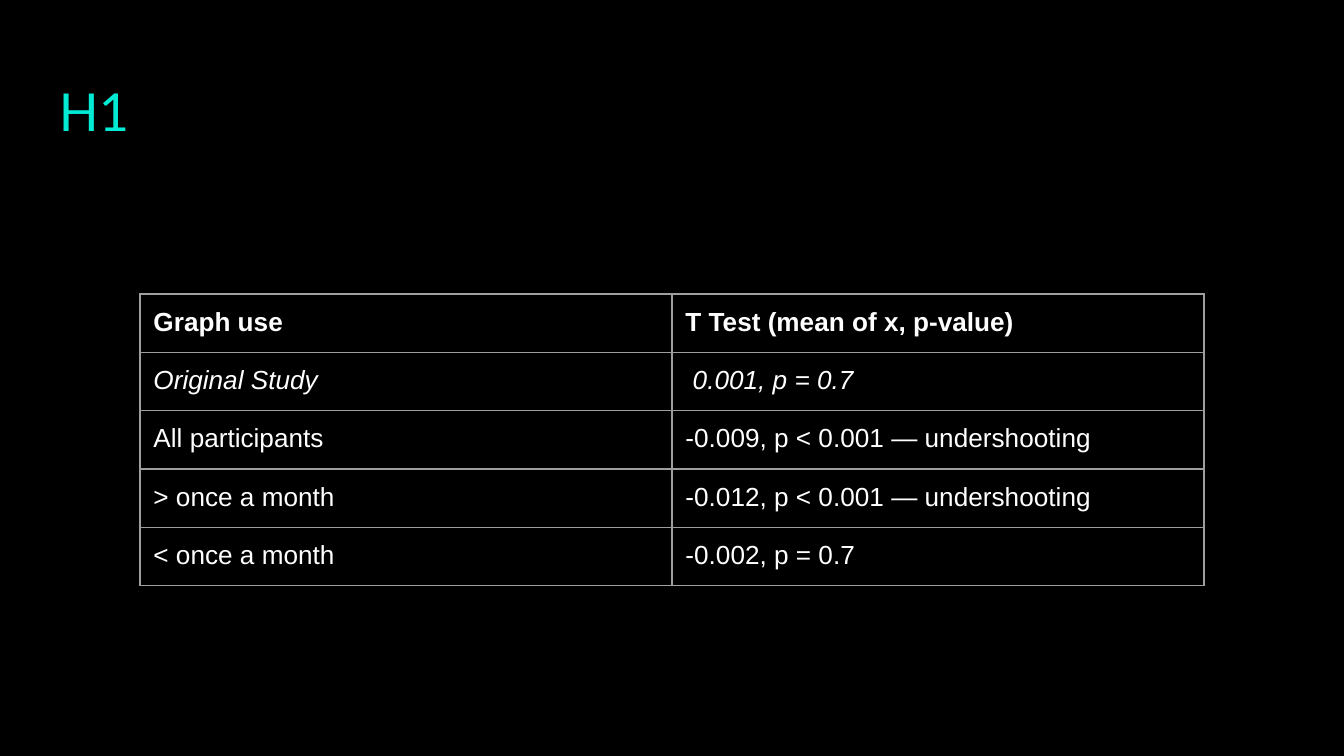
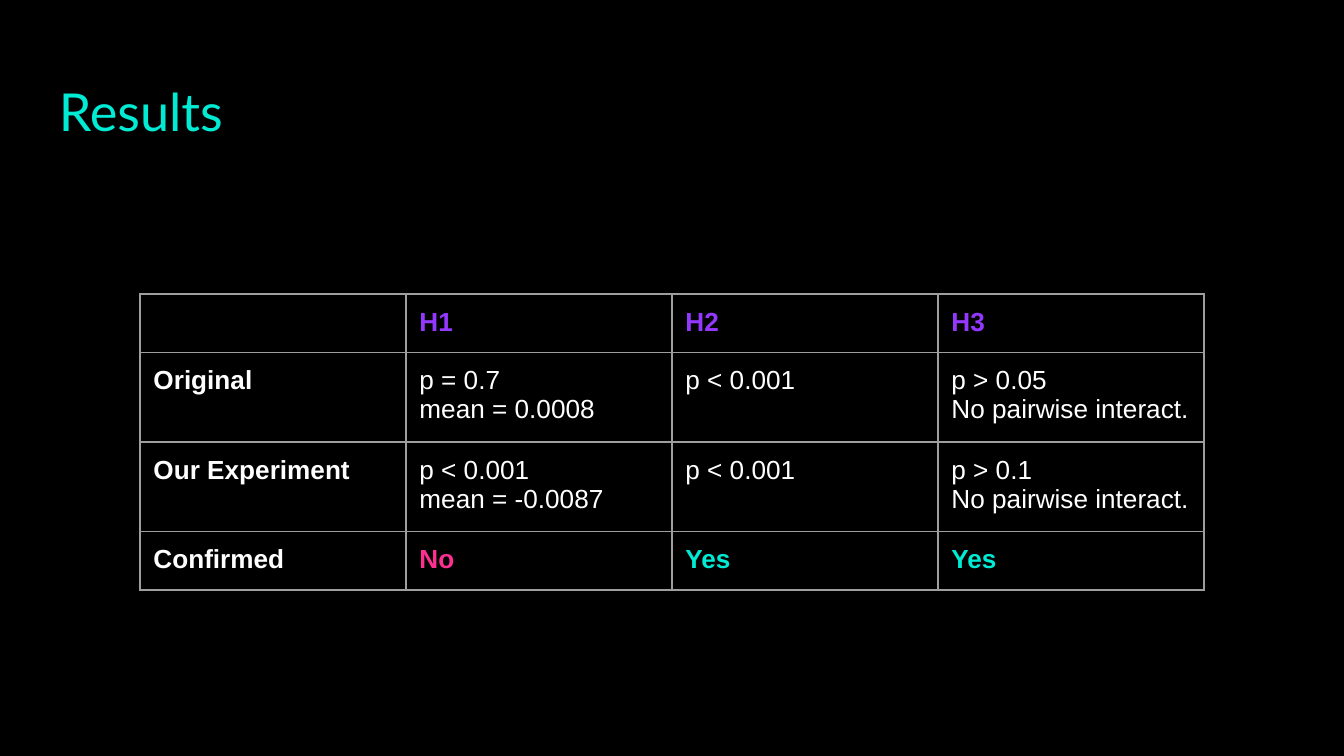
"""Builds two dark slides of hypothesis test results, each a title over a bordered table."""
from lxml import etree
from pptx import Presentation
from pptx import util as u
from pptx.dml.color import RGBColor
from pptx.enum import text
from pptx.oxml.ns import qn

COLORS = {"background": "000000", "title": "00EAD4", "body": "FFFFFF", "border": "9E9E9E",
          "hypothesis": "9437FF", "no": "FF2F92", "yes": "00EBD4"}

BOLD = {"bold": True}
ITALIC = {"italic": True}
HYPOTHESIS = {"bold": True, "color": "hypothesis"}
NO = {"bold": True, "color": "no"}
YES = {"bold": True, "color": "yes"}

SLIDES = [
    ("H1", [
        [("Graph use", BOLD), ("T Test (mean of x, p-value)", BOLD)],
        [("Original Study", ITALIC), (" 0.001, p = 0.7", ITALIC)],
        [("All participants", {}), ("-0.009, p < 0.001 — undershooting", {})],
        [("> once a month", {}), ("-0.012, p < 0.001 — undershooting", {})],
        [("< once a month", {}), ("-0.002, p = 0.7", {})],
    ]),
    ("Results", [
        [("", {}), ("H1", HYPOTHESIS), ("H2", HYPOTHESIS), ("H3", HYPOTHESIS)],
        [("Original", BOLD), ("p = 0.7\nmean = 0.0008", {}), ("p < 0.001", {}),
         ("p > 0.05\nNo pairwise interact.", {})],
        [("Our Experiment", BOLD), ("p < 0.001\nmean = -0.0087", {}), ("p < 0.001", {}),
         ("p > 0.1\nNo pairwise interact.", {})],
        [("Confirmed", BOLD), ("No", NO), ("Yes", YES), ("Yes", YES)],
    ]),
]

SLIDE_SIZE = (720, 405)
TITLE_BOX = (24.5, 35, 671, 45)
TABLE_LEFT, TABLE_TOP, TABLE_WIDTH = 75, 157.5, 570
ROW_HEIGHT = 30
INSET = 7.2
BORDER_WIDTH = 0.75


def write(frame, words, size=14, font="Arial", color="body", bold=False, italic=False):
    for index, line in enumerate(words.split("\n")):
        paragraph = frame.add_paragraph() if index else frame.paragraphs[0]
        if not line:
            etree.SubElement(paragraph._p, qn("a:endParaRPr"), sz=str(size * 100))
            continue
        run = paragraph.add_run()
        run.text = line
        run.font.size = u.Pt(size)
        run.font.name = font
        run.font.bold = bold
        run.font.italic = italic
        run.font.color.rgb = RGBColor.from_string(COLORS[color])


def set_insets(holder):
    holder.margin_left = holder.margin_right = u.Pt(INSET)
    holder.margin_top = holder.margin_bottom = u.Pt(INSET)


def add_borders(cell):
    properties = cell._tc.get_or_add_tcPr()
    for side in ("lnL", "lnR", "lnT", "lnB"):
        border = etree.SubElement(properties, qn(f"a:{side}"), w=str(u.Pt(BORDER_WIDTH)))
        fill = etree.SubElement(border, qn("a:solidFill"))
        etree.SubElement(fill, qn("a:srgbClr"), val=COLORS["border"])


def add_title(slide, title):
    frame = slide.shapes.add_textbox(*map(u.Pt, TITLE_BOX)).text_frame
    frame.word_wrap = True
    frame.vertical_anchor = text.MSO_ANCHOR.TOP
    set_insets(frame)
    write(frame, title, size=28, font="Lato", color="title")


def add_results(slide, rows):
    columns = len(rows[0])
    box = (TABLE_LEFT, TABLE_TOP, TABLE_WIDTH, ROW_HEIGHT * len(rows))
    table = slide.shapes.add_table(len(rows), columns, *map(u.Pt, box)).table
    table.first_row = table.horz_banding = False
    for column in table.columns:
        column.width = u.Pt(TABLE_WIDTH / columns)
    for r, row in enumerate(rows):
        table.rows[r].height = u.Pt(ROW_HEIGHT)
        for c, (words, style) in enumerate(row):
            cell = table.cell(r, c)
            set_insets(cell)
            add_borders(cell)
            cell.fill.background()
            write(cell.text_frame, words, **style)


def main():
    deck = Presentation()
    deck.slide_width, deck.slide_height = map(u.Pt, SLIDE_SIZE)
    for title, rows in SLIDES:
        slide = deck.slides.add_slide(deck.slide_layouts[6])
        slide.background.fill.solid()
        slide.background.fill.fore_color.rgb = RGBColor.from_string(COLORS["background"])
        add_title(slide, title)
        add_results(slide, rows)
    deck.save("out.pptx")


if __name__ == "__main__":
    main()
